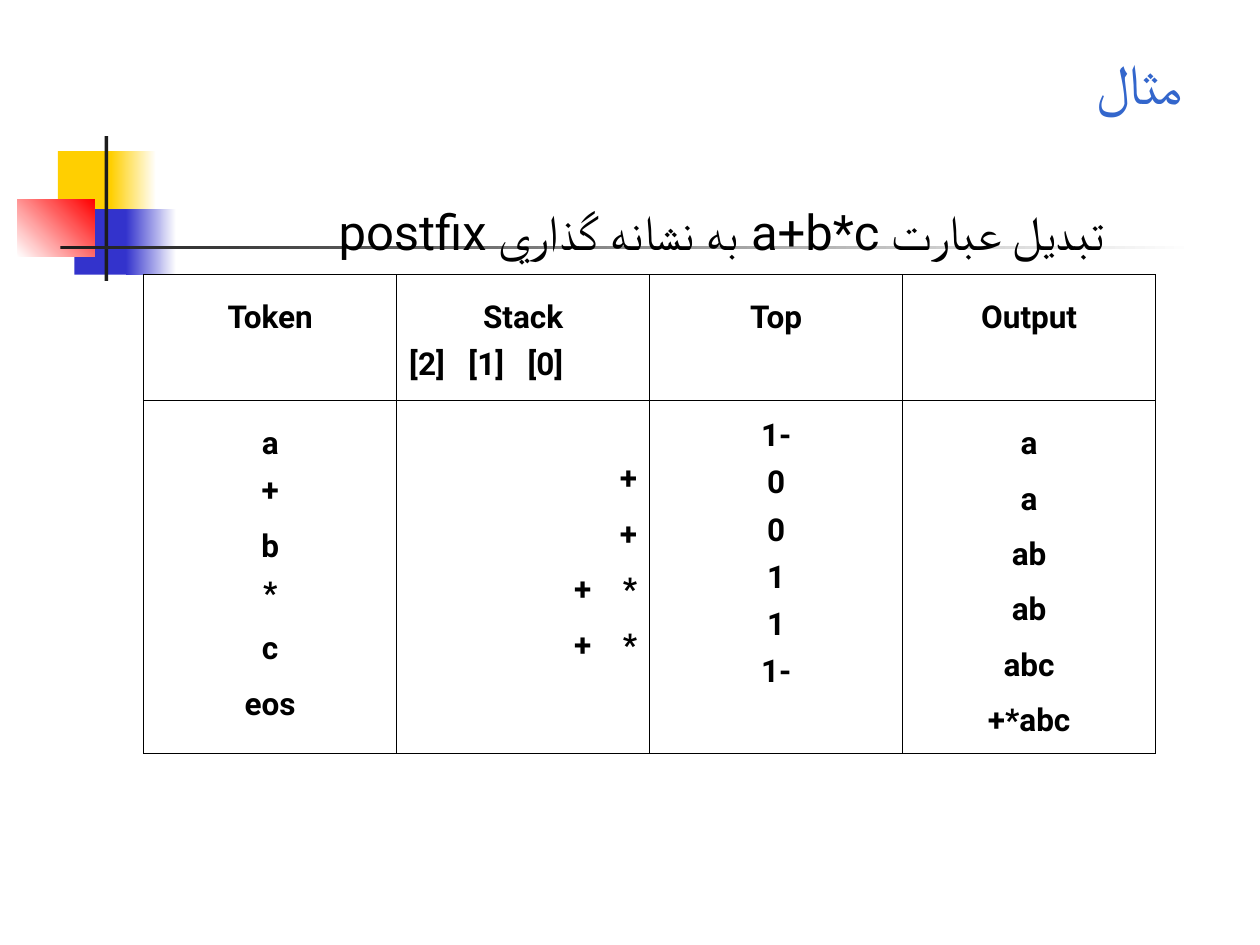
from lxml import etree
from pptx import Presentation
from pptx import util as u
from pptx.dml.color import RGBColor
from pptx.enum import shapes, text
from pptx.oxml import ns

GOLD = RGBColor(0xFF, 0xCF, 0x01)
NAVY = RGBColor(0x33, 0x33, 0xCC)
RED = RGBColor(0xFF, 0x00, 0x00)
DARK = RGBColor(0x1C, 0x1C, 0x1C)
WHITE = RGBColor(0xFF, 0xFF, 0xFF)
BLUE = RGBColor(0x33, 0x66, 0xCC)
BLACK = RGBColor(0x00, 0x00, 0x00)
FACE = "Roboto"
LEFT, MID, RIGHT = text.PP_ALIGN.LEFT, text.PP_ALIGN.CENTER, text.PP_ALIGN.RIGHT

deck = Presentation()
deck.slide_width, deck.slide_height = u.Inches(10), u.Inches(7.5)
slide = deck.slides.add_slide(deck.slide_layouts[6])


def area(x, y, w, h):
    wide, high = deck.slide_width / 100, deck.slide_height / 100
    return [u.Emu(round(n)) for n in (x * wide, y * high, w * wide, h * high)]


def write(para, words, size, tint, side, rtl=True, bold=False, gap=0):
    for i, word in enumerate(words.split(" ") if gap else [words]):
        if i:
            space = para.add_run()
            space.text = " "
            space._r.get_or_add_rPr().set("spc", str(gap))
        para.add_run().text = word
    para.alignment = side
    para._p.get_or_add_pPr().set("rtl", str(int(rtl)))
    font = para.font
    font.name, font.size, font.bold = FACE, u.Pt(size), bold
    font.color.rgb = tint
    etree.SubElement(font._rPr, ns.qn("a:cs")).set("typeface", FACE)


bars = [
    (4.6, 16, 4.8, 6.93, [GOLD], 0),
    (8.8, 16, 3.6, 6.93, [GOLD, WHITE], 0),
    (5.9, 22.13, 4.6, 6.93, [NAVY], 0),
    (10, 22.13, 4, 6.93, [NAVY, WHITE], 0),
    (1.4, 21.07, 6.1, 6.13, [WHITE, RED], 45),
    (8.3, 14.4, 0.3, 15.33, [DARK], 0),
    (4.8, 26, 90, 0.4, [DARK, WHITE], 0),
]
for x, y, w, h, tints, turn in bars:
    bar = slide.shapes.add_shape(shapes.MSO_SHAPE.RECTANGLE, *area(x, y, w, h))
    bar.shadow.inherit = False
    bar.line.fill.background()
    if len(tints) == 1:
        bar.fill.solid()
        bar.fill.fore_color.rgb = tints[0]
    else:
        bar.fill.gradient()
        bar.fill.gradient_angle = turn
        for stop, tint in zip(bar.fill.gradient_stops, tints):
            stop.color.rgb = tint

heads = [
    (9.8, 3.73, 85, 9.2, "مثال", 32, BLUE, text.MSO_ANCHOR.BOTTOM),
    (16.9, 20.67, 71.7, 13.87, "تبديل عبارت a+b*c به نشانه گذاري postfix", 28, BLACK,
     text.MSO_ANCHOR.TOP),
]
for x, y, w, h, words, size, tint, hold in heads:
    frame = slide.shapes.add_textbox(*area(x, y, w, h)).text_frame
    frame.word_wrap = True
    frame.vertical_anchor = hold
    write(frame.paragraphs[0], words, size, tint, RIGHT)

rows = [
    [["Token"], ["Stack", "[0] [1] [2]"], ["Top"], ["Output"]],
    [["a", "+", "b", "*", "c", "eos"],
     ["+", "+", "+ *", "+ *"],
     ["-1", "0", "0", "1", "1", "-1"],
     ["a", "a", "ab", "ab", "abc", "abc*+"]],
]
grid = slide.shapes.add_table(2, 4, *area(11.4, 29.07, 80.32, 50.66)).table
grid.first_row = grid.horz_banding = False
for row, share in zip(grid.rows, (13.33, 37.33)):
    row.height = area(0, 0, 0, share)[3]

for r, row in enumerate(rows):
    for c, lines in enumerate(row):
        cell = grid.cell(r, c)
        stack = (r, c) == (1, 1)
        cell.margin_top = u.Inches(0.33 if stack else 0.05)
        for i, line in enumerate(lines):
            frame = cell.text_frame
            para = frame.add_paragraph() if i else frame.paragraphs[0]
            side = RIGHT if stack else LEFT if line[0] == "[" else MID
            gap = 1350 if stack else 900
            write(para, line, 18, BLACK, side, not stack, True, gap)
            para.line_spacing = 1.5 if stack or line[0].isalpha() else 1.28
        props = cell._tc.get_or_add_tcPr()
        for edge in ("a:lnL", "a:lnR", "a:lnT", "a:lnB"):
            rule = etree.SubElement(props, ns.qn(edge), w=str(u.Pt(0.45)))
            fill = etree.SubElement(rule, ns.qn("a:solidFill"))
            etree.SubElement(fill, ns.qn("a:srgbClr"), val=str(BLACK))
        cell.fill.background()

deck.save("out.pptx")
